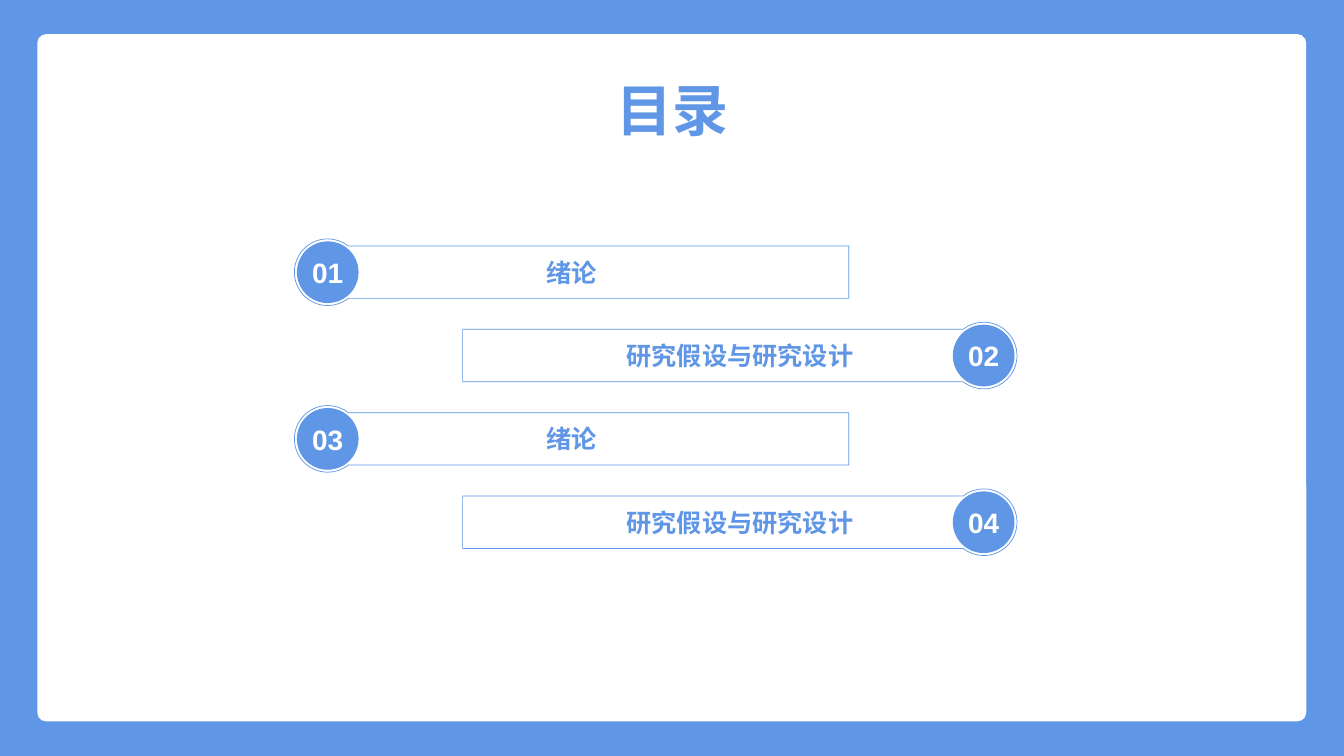
from dataclasses import dataclass
from itertools import pairwise
from math import asin, cos, pi, sin, tan

from lxml.etree import SubElement
from pptx import Presentation
from pptx.dml.color import RGBColor
from pptx.enum.shapes import MSO_SHAPE as Shape
from pptx.enum.text import MSO_ANCHOR as Anchor, MSO_AUTO_SIZE as AutoSize, PP_ALIGN as Align
from pptx.oxml.ns import qn
from pptx.util import Cm, Pt


@dataclass(frozen=True)
class Theme:
    blue: RGBColor = RGBColor(0x60, 0x96, 0xE6)
    white: RGBColor = RGBColor(0xFF, 0xFF, 0xFF)
    chinese: str = "Noto Sans CJK SC"
    latin: str = "Arial"
    title: int = 40
    number: int = 20
    entry: int = 18


THEME = Theme()
WIDTH, HEIGHT = 33.87, 19.05

ENTRIES = ["绪论", "研究假设与研究设计", "绪论", "研究假设与研究设计"]
LEFT_X, RIGHT_X = 8.26, 24.79
FIRST_Y, ROW_STEP = 6.86, 2.1
RING_RADIUS, DISC_RADIUS = 0.84, 0.76
BAR_REACH, BAR_HALF = 13.13, 0.66
LABEL_WIDTH, LABEL_HEIGHT = 1.37, 1.02


def write(frame, text, font_name, size, color):
    """Put one bold centred line in a text frame."""
    para = frame.paragraphs[0]
    para.text = text
    para.alignment = Align.CENTER
    font = para.font
    font.name, font.size, font.bold = font_name, Pt(size), True
    font.color.rgb = color
    defaults = para._p.pPr.find(qn("a:defRPr"))
    SubElement(defaults, qn("a:ea")).set("typeface", font_name)


def add_filled(page, kind, left, top, width, height, color):
    shape = page.shapes.add_shape(kind, Cm(left), Cm(top), Cm(width), Cm(height))
    shape.shadow.inherit = False
    shape.fill.solid()
    shape.fill.fore_color.rgb = color
    shape.line.fill.background()
    return shape


def add_text(page, left, top, width, height, text, font_name, size, color):
    """Add a text box without insets and return its frame."""
    box = page.shapes.add_textbox(Cm(left), Cm(top), Cm(width), Cm(height))
    frame = box.text_frame
    frame.margin_left = frame.margin_right = frame.margin_top = frame.margin_bottom = 0
    write(frame, text, font_name, size, color)
    return frame


def add_frame(page):
    add_filled(page, Shape.RECTANGLE, 0, 0, WIDTH, HEIGHT, THEME.blue)
    panel = add_filled(page, Shape.ROUNDED_RECTANGLE, 0.94, 0.86, 31.98, 17.32, THEME.white)
    panel.adjustments[0] = 0.013


def add_title(page, text):
    frame = add_text(page, 15.52, 1.9, 2.84, 1.7, text, THEME.chinese, THEME.title, THEME.blue)
    frame.word_wrap = False
    frame.auto_size = AutoSize.SHAPE_TO_FIT_TEXT


def bend_line(line, points):
    """Turn a straight path segment into a cubic curve through the given points."""
    curve = line.makeelement(qn("a:cubicBezTo"))
    for across, down in points:
        point = SubElement(curve, qn("a:pt"))
        point.set("x", str(across))
        point.set("y", str(down))
    line.getparent().replace(line, curve)


def add_bar(page, x, y, side, text):
    """Outline a ring centred at x, y that opens into a bar; side 1 points right, -1 left."""
    opening = asin(BAR_HALF / RING_RADIUS)
    angles = [opening, pi / 2, pi, 3 * pi / 2, 2 * pi - opening]

    def on_ring(angle, lead=0):
        """Place a point on the ring, moved along its tangent by lead radii."""
        return (Cm(x + side * RING_RADIUS * (cos(angle) - lead * sin(angle))),
                Cm(y + RING_RADIUS * (sin(angle) + lead * cos(angle))))

    end = Cm(x + side * BAR_REACH)
    corners = [(end, Cm(y - BAR_HALF)), (end, Cm(y + BAR_HALF))]
    first, *others = [on_ring(angle) for angle in angles] + corners
    builder = page.shapes.build_freeform(*first)
    builder.add_line_segments(others, close=True)
    bar = builder.convert_to_shape()

    lines = list(bar._element.iter(qn("a:lnTo")))
    for line, (start, stop) in zip(lines, pairwise(angles)):
        lead = 4 / 3 * tan((stop - start) / 4)
        points = [on_ring(start, lead), on_ring(stop, -lead), on_ring(stop)]
        bend_line(line, [(across - bar.left, down - bar.top) for across, down in points])

    bar.shadow.inherit = False
    bar.fill.background()
    bar.line.color.rgb = THEME.blue
    bar.line.width = Pt(0.5)
    bar.text_frame.vertical_anchor = Anchor.MIDDLE
    write(bar.text_frame, text, THEME.chinese, THEME.entry, THEME.blue)


def add_disc(page, x, y, number):
    size = 2 * DISC_RADIUS
    disc = add_filled(page, Shape.OVAL, x - DISC_RADIUS, y - DISC_RADIUS, size, size, THEME.blue)
    disc.line.color.rgb = THEME.blue
    disc.line.width = Pt(1)
    frame = add_text(page, x - LABEL_WIDTH / 2, y - LABEL_HEIGHT / 2, LABEL_WIDTH, LABEL_HEIGHT,
                     f"{number:02}", THEME.latin, THEME.number, THEME.white)
    frame.word_wrap = True
    frame.vertical_anchor = Anchor.MIDDLE


def main():
    deck = Presentation()
    deck.slide_width, deck.slide_height = Cm(WIDTH), Cm(HEIGHT)
    page = deck.slides.add_slide(deck.slide_layouts[6])
    add_frame(page)
    add_title(page, "目录")
    for row, entry in enumerate(ENTRIES):
        x, side = (RIGHT_X, -1) if row % 2 else (LEFT_X, 1)
        y = FIRST_Y + row * ROW_STEP
        add_bar(page, x, y, side, entry)
        add_disc(page, x, y, row + 1)
    deck.save("out.pptx")


if __name__ == "__main__":
    main()
